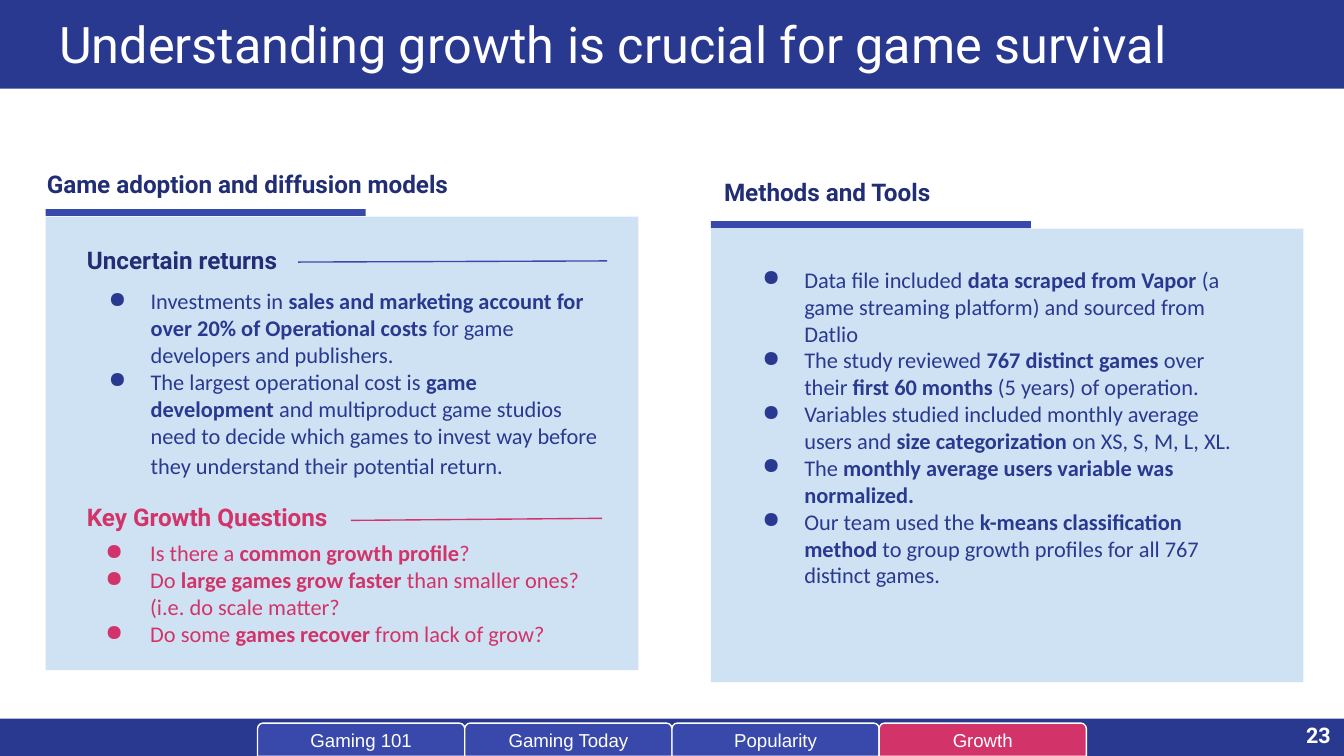
"""Build the slide on growth and game survival."""
from lxml import etree
from pptx import Presentation
from pptx import util as u
from pptx.dml.color import RGBColor
from pptx.enum import shapes, text
from pptx.oxml import ns

NAVY, INDIGO, INK = "2A3990", "3949AB", "212D74"
PINK, PALE, WHITE = "D23369", "CFE2F3", "FFFFFF"


def color(code):
    """Turn a hex string into a colour."""
    return RGBColor.from_string(code)


def points(*lengths):
    """Turn numbers into lengths in points."""
    return [u.Pt(length) for length in lengths]


def add_bullet(paragraph, left, hanging, tint):
    """Give a paragraph a round bullet with a hanging indent."""
    properties = paragraph._p.get_or_add_pPr()
    properties.set("marL", str(u.Pt(left)))
    properties.set("indent", str(-u.Pt(hanging)))
    bullet_color = etree.SubElement(properties, ns.qn("a:buClr"))
    etree.SubElement(bullet_color, ns.qn("a:srgbClr"), val=tint)
    etree.SubElement(properties, ns.qn("a:buChar"), char="●")


def write(frame, lines, font="Roboto", size=13, tint=INK, bold=False, align="LEFT",
          anchor="TOP", inset=(7.2, 7.2), spacing=None, indent=None, tail_size=None):
    """Fill a text frame with lines in which ** switches bold on and off."""
    frame.word_wrap = True
    frame.auto_size = text.MSO_AUTO_SIZE.NONE
    frame.vertical_anchor = getattr(text.MSO_ANCHOR, anchor)
    frame.margin_left = frame.margin_right = u.Pt(inset[0])
    frame.margin_top = frame.margin_bottom = u.Pt(inset[1])
    for number, line in enumerate(lines):
        paragraph = frame.add_paragraph() if number else frame.paragraphs[0]
        paragraph.alignment = getattr(text.PP_ALIGN, align)
        if spacing:
            paragraph.line_spacing = spacing
        if indent:
            add_bullet(paragraph, indent, 24, tint)
        pieces = [(piece, bold or place % 2 == 1, size)
                  for place, piece in enumerate(line.split("**")) if piece]
        if tail_size and line is lines[-1]:
            pieces.append((" ", False, tail_size))
        for piece, heavy, height in pieces:
            run = paragraph.add_run()
            run.text = piece
            run.font.name = font
            run.font.size = u.Pt(height)
            run.font.bold = heavy
            run.font.color.rgb = color(tint)


class Deck:
    """Hold the style and the current slide."""

    def __init__(self):
        """Start a presentation with one title-only slide."""
        self.presentation = Presentation()
        self.presentation.slide_width, self.presentation.slide_height = points(720, 405)
        self.slide = self.presentation.slides.add_slide(self.presentation.slide_layouts[5])

    def block(self, *box, fill, preset="RECTANGLE", outline=None):
        """Add a filled preset shape."""
        shape = self.slide.shapes.add_shape(
            getattr(shapes.MSO_SHAPE, preset), *points(*box))
        shape.shadow.inherit = False
        shape.fill.solid()
        shape.fill.fore_color.rgb = color(fill)
        if outline:
            shape.line.color.rgb = color(outline)
            shape.line.width = u.Pt(0.75)
        else:
            shape.line.fill.background()
        return shape

    def title(self, wording):
        """Place the title over the header bar."""
        title = self.slide.shapes.title
        title.left, title.top, title.width, title.height = points(24.5, 0, 671, 47.5)
        self.slide.shapes.element.append(title.element)
        write(title.text_frame, [wording], size=27, tint=WHITE)

    def tab(self, left, wording, fill):
        """Add one navigation tab to the footer."""
        tab = self.block(left, 387.4, 111, 17.8, fill=fill,
                         preset="ROUND_2_SAME_RECTANGLE", outline=WHITE)
        write(tab.text_frame, [wording], font="Arial", size=10, tint=WHITE,
              align="CENTER", anchor="MIDDLE")

    def panel(self, left, top):
        """Add a pale panel with an accent bar on its top edge."""
        self.block(left, top, 317.5, 243, fill=PALE)
        self.block(left, top - 4, 171.5, 3.7, fill=INDIGO)

    def label(self, *box, wording, **style):
        """Add a one-line text box."""
        box = self.slide.shapes.add_textbox(*points(*box))
        write(box.text_frame, [wording], **{"bold": True, **style})

    def bullets(self, *box, items, indent=22.5, tint=NAVY, **style):
        """Add a bulleted list."""
        box = self.slide.shapes.add_textbox(*points(*box))
        write(box.text_frame, items, font="Calibri", size=12, tint=tint,
              inset=(5, 2.7), indent=indent, **style)

    def rule(self, *ends, tint):
        """Add a thin line."""
        rule = self.slide.shapes.add_connector(
            shapes.MSO_CONNECTOR.STRAIGHT, *points(*ends))
        rule.line.color.rgb = color(tint)
        rule.line.width = u.Pt(0.75)
        etree.SubElement(rule.element.spPr, ns.qn("a:effectLst"))


def main():
    """Compose the slide and save it."""
    deck = Deck()
    deck.block(0, 0, 720, 47.5, fill="293990")
    deck.block(0, 385, 720, 20, fill=NAVY)
    for number, section in enumerate(["Gaming 101", "Gaming Today", "Popularity", "Growth"]):
        deck.tab(138 + 111 * number, section, PINK if section == "Growth" else INDIGO)
    deck.title("Understanding growth is crucial for game survival")
    deck.label(676.5, 385, 43.5, 20, wording="23", size=11.5, tint=WHITE,
               align="RIGHT", anchor="MIDDLE", spacing=0.8)

    deck.panel(24.5, 116)
    deck.label(18, 83.5, 317.5, 30, wording="Game adoption and diffusion models")
    deck.label(39.5, 124, 220, 30, wording="Uncertain returns")
    deck.rule(159.7, 140.4, 325.3, 139.8, tint=INDIGO)
    deck.bullets(53.2, 151.2, 272, 112, tail_size=14, items=[
        "Investments in **sales and marketing account for over 20% of Operational costs** "
        "for game developers and publishers.",
        "The largest operational cost is **game development** and multiproduct game studios "
        "need to decide which games to invest way before they understand their potential "
        "return.",
    ])
    deck.label(39.5, 262, 220, 30, wording="Key Growth Questions", tint=PINK)
    deck.rule(188, 278.8, 322.6, 277.7, tint=PINK)
    deck.bullets(39.5, 286.4, 286, 63.5, indent=36, tint=PINK, items=[
        "Is there a **common growth profile**?",
        "Do **large games grow faster** than smaller ones? (i.e. do scale matter?",
        "Do some **games recover** from lack of grow?",
    ])

    deck.panel(380.8, 122.5)
    deck.label(380.8, 88, 317.5, 30, wording="Methods and Tools")
    deck.bullets(403.4, 139.8, 272, 185, items=[
        "Data file included **data scraped from Vapor** (a game streaming platform) and "
        "sourced from Datlio",
        "The study reviewed **767 distinct games** over their **first 60 months **(5 years) "
        "of operation.",
        "Variables studied included monthly average users and **size categorization** on "
        "XS, S, M, L, XL.",
        "The **monthly average users variable was normalized.**",
        "Our team used the **k-means classification method** to group growth profiles for "
        "all 767 distinct games.",
    ])
    deck.presentation.save("out.pptx")


if __name__ == "__main__":
    main()
